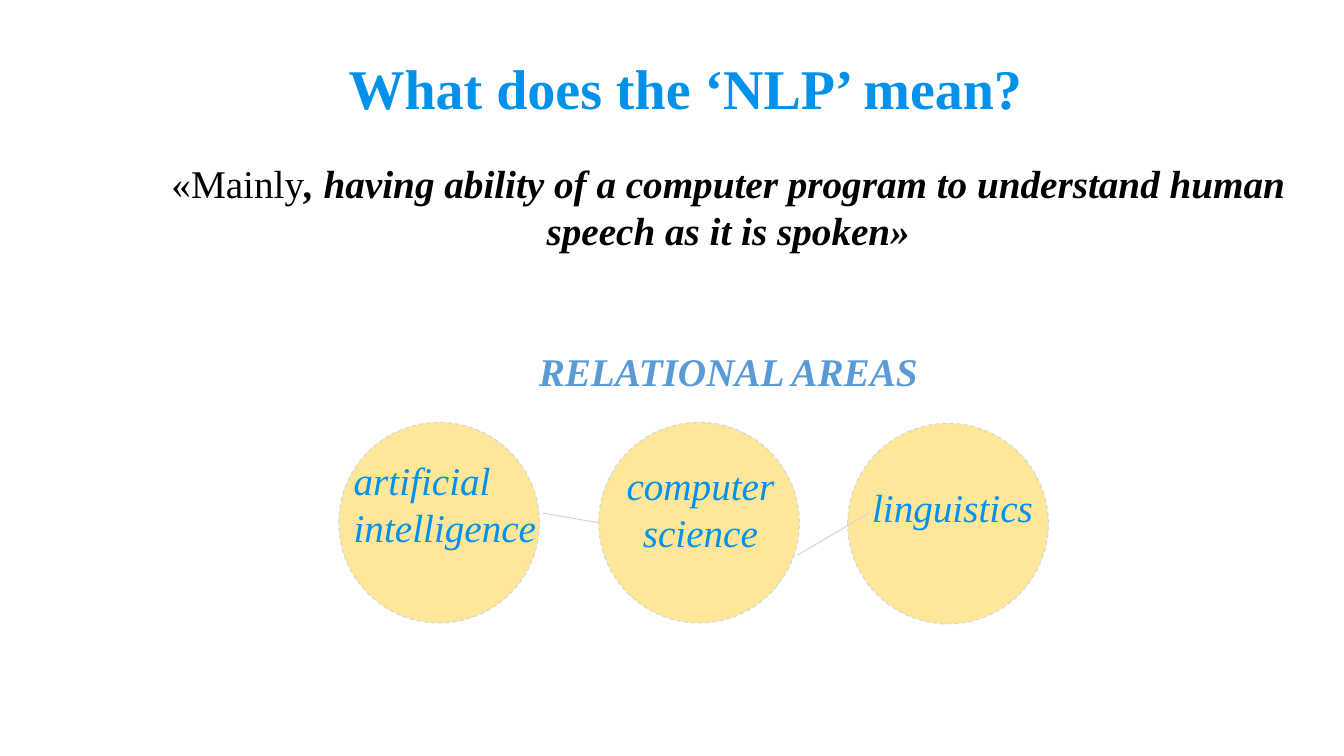
from pptx import Presentation
from pptx.dml.color import RGBColor
from pptx.enum.dml import MSO_LINE
from pptx.enum.shapes import MSO_CONNECTOR, MSO_SHAPE
from pptx.enum.text import PP_ALIGN
from pptx.oxml.ns import qn
from pptx.util import Pt
from lxml import etree

LEFT, CENTER = PP_ALIGN.LEFT, PP_ALIGN.CENTER
OVAL, STRAIGHT, DASH = MSO_SHAPE.OVAL, MSO_CONNECTOR.STRAIGHT, MSO_LINE.DASH
FONT = "Times New Roman"
BRIGHT_BLUE = RGBColor(0x00, 0x91, 0xEA)
SOFT_BLUE = RGBColor(0x5B, 0x9B, 0xD5)
BLACK = RGBColor(0x00, 0x00, 0x00)
YELLOW = RGBColor(0xFF, 0xE6, 0x99)
GREY = RGBColor(0xCF, 0xD8, 0xDC)


def add_text_frame(left, top, width, height):
    frame = slide.shapes.add_textbox(Pt(left), Pt(top), Pt(width), Pt(height)).text_frame
    frame.word_wrap = True
    return frame


def add_run(paragraph, text, color, size=28, bold=False, italic=False):
    run = paragraph.add_run()
    run.text = text
    run.font.name = FONT
    run.font.size = Pt(size)
    run.font.bold = bold
    run.font.italic = italic
    run.font.color.rgb = color


prs = Presentation()
prs.slide_width, prs.slide_height = Pt(960), Pt(540)
slide = prs.slides.add_slide(prs.slide_layouts[6])

# Title
title = add_text_frame(242, 40.3, 609, 52.7).paragraphs[0]
title.line_spacing = 0.9
add_run(title, "What does the ‘NLP’ mean?", BRIGHT_BLUE, size=40, bold=True)

# Definition and the heading of the areas
body = add_text_frame(103.7, 110.2, 833, 177)
definition = body.paragraphs[0]
definition.alignment = CENTER
add_run(definition, "«Mainly", BLACK)
add_run(definition, ", having ability of a computer program to understand human speech as it is spoken»",
        BLACK, bold=True, italic=True)
heading = body.add_paragraph()
heading.alignment = CENTER
heading.space_before = Pt(67)
add_run(heading, "RELATIONAL AREAS", SOFT_BLUE, bold=True, italic=True)

# Areas: circle left and top, then label text, alignment and box
DIAMETER = 143.3
areas = [
    (242, 301.7, "artificial intelligence", LEFT, (245.5, 322.6, 154, 75)),
    (427.7, 301.7, "computer science", CENTER, (422.6, 326.2, 155.5, 75)),
    (605.5, 302.4, "linguistics", CENTER, (608.4, 342, 144, 41)),
]
for left, top, name, alignment, label_box in areas:
    circle = slide.shapes.add_shape(OVAL, Pt(left), Pt(top), Pt(DIAMETER), Pt(DIAMETER))
    circle.shadow.inherit = False
    circle.fill.solid()
    circle.fill.fore_color.rgb = YELLOW
    circle.line.color.rgb = GREY
    circle.line.width = Pt(0.75)
    circle.line.dash_style = DASH
    label = add_text_frame(*label_box).paragraphs[0]
    label.alignment = alignment
    add_run(label, name, BRIGHT_BLUE, italic=True)

# Links between neighbouring areas
for ends in [(387.4, 366.5, 427.7, 373.4), (569.5, 396.7, 620.6, 366.5)]:
    link = slide.shapes.add_connector(STRAIGHT, *map(Pt, ends))
    link.line.color.rgb = GREY
    link.line.width = Pt(0.75)
    etree.SubElement(link._element.spPr, qn("a:effectLst"))

prs.save("out.pptx")
